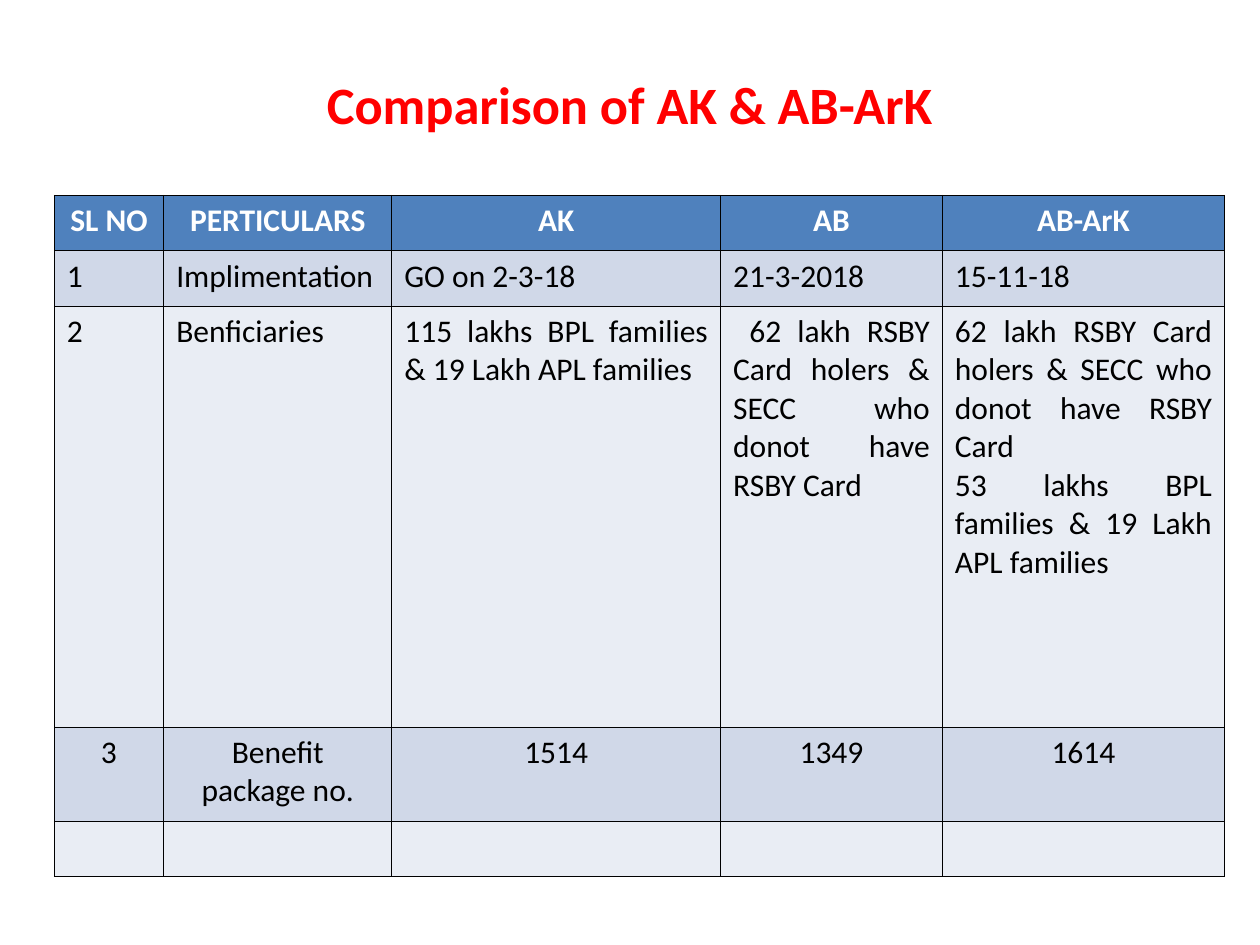
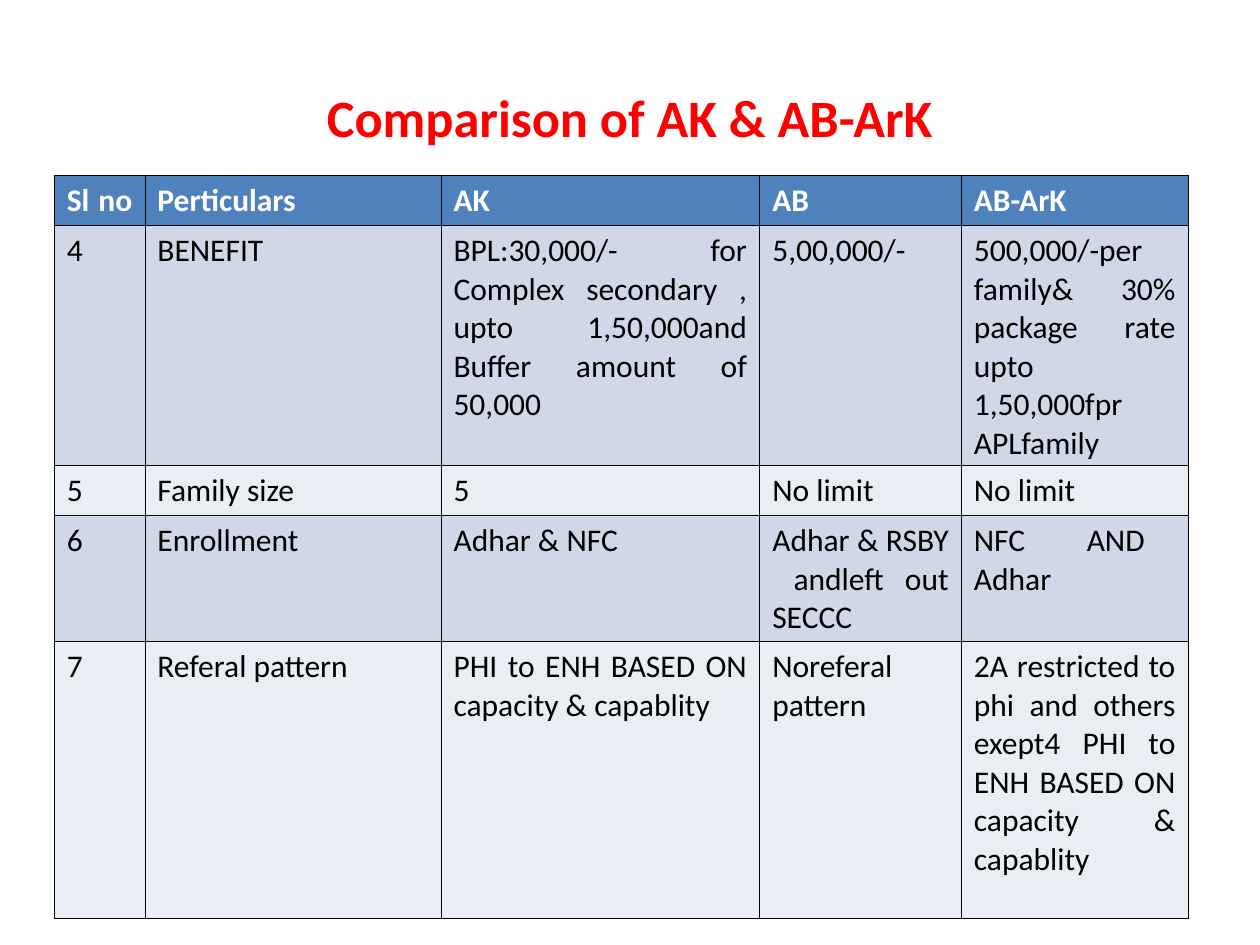
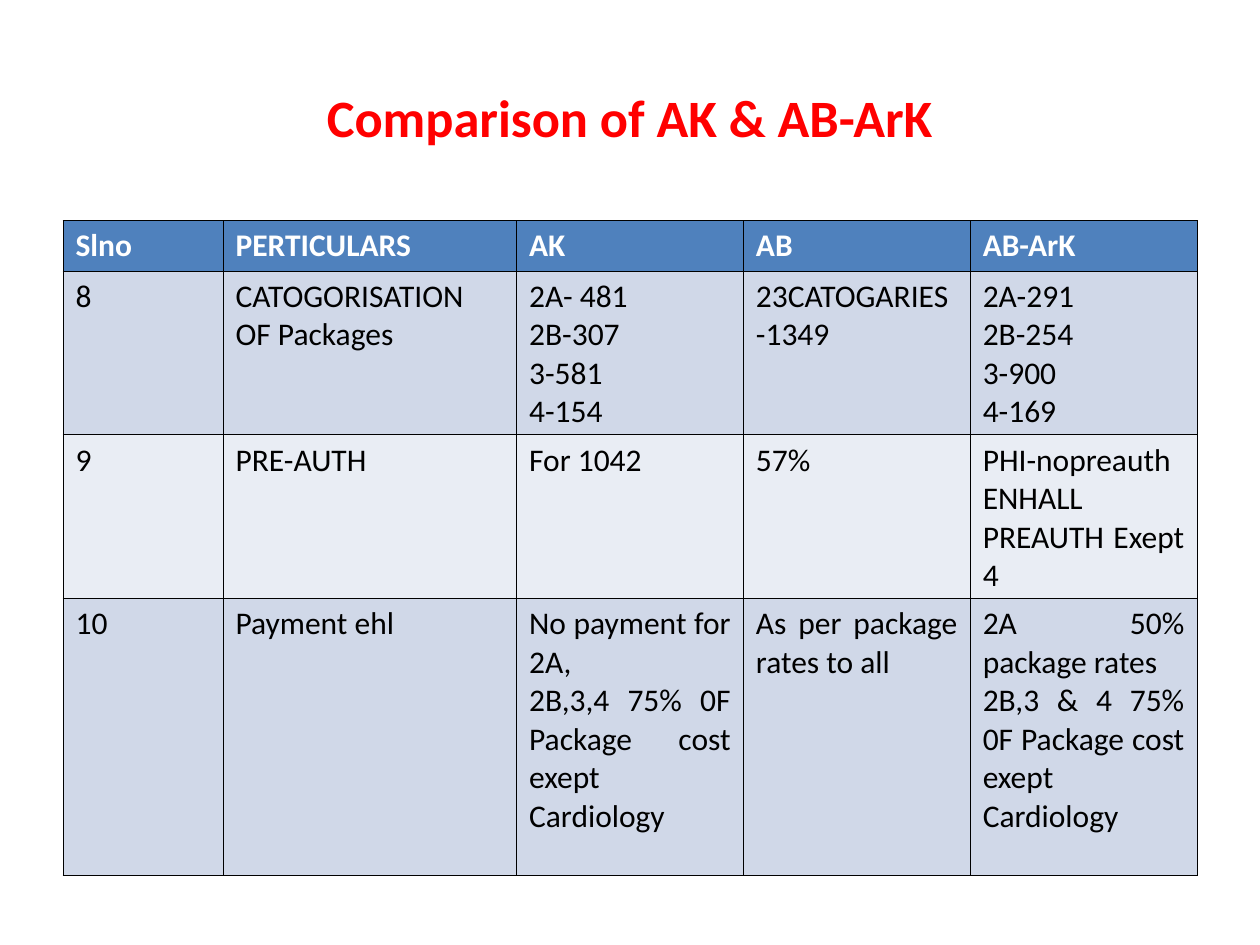
from dataclasses import dataclass

from lxml import etree
from pptx import Presentation
from pptx.dml.color import RGBColor
from pptx.enum.text import MSO_ANCHOR, PP_ALIGN
from pptx.oxml.ns import qn
from pptx.util import Inches, Pt

CENTER = PP_ALIGN.CENTER
JUSTIFY = PP_ALIGN.JUSTIFY
MIDDLE = MSO_ANCHOR.MIDDLE
BLANK_LAYOUT = 6


@dataclass(frozen=True)
class Theme:
    font: str = "Calibri"
    title_size: float = 30
    table_size: float = 18
    border_width: float = 0.45
    title_color: str = "FF0000"
    header_fill: str = "4F81BD"
    header_text: str = "FFFFFF"
    body_text: str = "000000"
    border: str = "000000"
    bands: tuple = ("D0D8E8", "E9EDF4")


class Deck:
    """Holds the style and the current slide."""

    def __init__(self, theme):
        self.theme = theme
        self.presentation = Presentation()
        self.presentation.slide_width = Inches(10)
        self.presentation.slide_height = Inches(7.5)
        self.slide = None

    def new_slide(self):
        layout = self.presentation.slide_layouts[BLANK_LAYOUT]
        self.slide = self.presentation.slides.add_slide(layout)

    def add_text(self, paragraph, text, size, color, bold, align):
        paragraph.alignment = align
        run = paragraph.add_run()
        run.text = text
        run.font.name = self.theme.font
        run.font.size = Pt(size)
        run.font.bold = bold
        run.font.color.rgb = RGBColor.from_string(color)

    def title(self, text, box):
        frame = self.slide.shapes.add_textbox(*map(Inches, box)).text_frame
        frame.word_wrap = True
        frame.vertical_anchor = MIDDLE
        self.add_text(frame.paragraphs[0], text, self.theme.title_size,
                      self.theme.title_color, True, CENTER)

    def border(self, cell):
        properties = cell._tc.get_or_add_tcPr()
        for position, side in enumerate(("a:lnL", "a:lnR", "a:lnT", "a:lnB")):
            line = etree.Element(qn(side), w=str(Pt(self.theme.border_width)))
            fill = etree.SubElement(line, qn("a:solidFill"))
            etree.SubElement(fill, qn("a:srgbClr"), val=self.theme.border)
            properties.insert(position, line)

    def cell(self, cell, text, fill, color, bold, align):
        cell.fill.solid()
        cell.fill.fore_color.rgb = RGBColor.from_string(fill)
        self.border(cell)
        if not text:
            return
        frame = cell.text_frame
        for index, line in enumerate(text.split("\n")):
            paragraph = frame.add_paragraph() if index else frame.paragraphs[0]
            self.add_text(paragraph, line, self.theme.table_size, color, bold, align)

    def table(self, left, top, widths, heights, rows, centered_rows=()):
        """The first row is the header; the rows below it are banded."""
        theme = self.theme
        table = self.slide.shapes.add_table(
            len(heights), len(widths), Inches(left), Inches(top),
            Inches(sum(widths)), Inches(sum(heights))).table
        for column, width in zip(table.columns, widths):
            column.width = Inches(width)
        for index, (row, height, texts) in enumerate(zip(table.rows, heights, rows)):
            row.height = Inches(height)
            header = index == 0
            fill = theme.header_fill if header else theme.bands[(index - 1) % 2]
            color = theme.header_text if header else theme.body_text
            align = CENTER if index in centered_rows else JUSTIFY
            for cell, text in zip(row.cells, texts):
                self.cell(cell, text, fill, color, header, align)


TITLE = "Comparison of AK & AB-ArK"
TITLE_BOX = (0.5, 0.3, 9, 1.25)
SCHEMES = ("AK", "AB", "AB-ArK")

# Start dates, beneficiaries and package counts
COVERAGE = [
    ("SL NO", "PERTICULARS", *SCHEMES),
    ("1", "Implimentation", "GO on 2-3-18", "21-3-2018", "15-11-18"),
    ("2", "Benficiaries ", "115 lakhs BPL families & 19 Lakh APL families",
     " 62 lakh RSBY Card holers & SECC who donot have RSBY Card",
     "62 lakh RSBY Card holers & SECC who donot have RSBY Card\n"
     "53 lakhs BPL families & 19 Lakh APL families"),
    ("3", "Benefit package no.", "1514", "1349", "1614"),
    ("",) * 5,
]

# Benefit amounts, enrollment and referral
BENEFITS = [
    ("Sl no ", "Perticulars ", *SCHEMES),
    ("4", "BENEFIT ",
     "BPL:30,000/- for Complex secondary , upto 1,50,000and Buffer amount of 50,000",
     "5,00,000/-",
     "500,000/-per family& 30% package rate upto 1,50,000fpr APLfamily"),
    ("5", "Family size", "5", "No limit ", "No limit"),
    ("6", "Enrollment ", "Adhar & NFC", "Adhar & RSBY  andleft out SECCC",
     "NFC  AND  Adhar"),
    ("7", "Referal pattern", "PHI to ENH BASED ON capacity & capablity",
     "Noreferal  pattern",
     "2A restricted to phi and others exept4 PHI to ENH BASED ON capacity & capablity"),
]

# Package categories, pre-authorisation and payment
PAYMENTS = [
    ("Slno ", "PERTICULARS", *SCHEMES),
    ("8", "CATOGORISATION OF Packages", "2A- 481\n2B-307\n3-581\n4-154",
     "23CATOGARIES-1349", "2A-291\n2B-254\n3-900\n4-169"),
    ("9", "PRE-AUTH", "For 1042", "57%", "PHI-nopreauth\nENHALL PREAUTH Exept 4"),
    ("10", "Payment ehl",
     "No payment for 2A,\n2B,3,4 75% 0F Package cost exept Cardiology",
     "As per package rates to all",
     "2A  50% package rates\n2B,3 & 4 75% 0F Package cost exept Cardiology"),
]


def main():
    deck = Deck(Theme())

    deck.new_slide()
    deck.title(TITLE, (0.75, 0.17, 8.5, 1.31))
    deck.table(0.43, 1.55, (0.87, 1.81, 2.61, 1.76, 2.24),
               (0.44, 0.44, 3.34, 0.75, 0.44), COVERAGE, centered_rows=(0, 3))

    deck.new_slide()
    deck.title(TITLE, TITLE_BOX)
    deck.table(0.43, 1.39, (0.72, 2.35, 2.53, 1.6, 1.8),
               (0.4, 1.9, 0.4, 1, 2.2), BENEFITS)

    deck.new_slide()
    deck.title(TITLE, TITLE_BOX)
    deck.table(0.5, 1.75, (1.27, 2.33, 1.8, 1.8, 1.8),
               (0.4, 1.3, 1.3, 2.2), PAYMENTS)

    deck.presentation.save("out.pptx")


if __name__ == "__main__":
    main()
